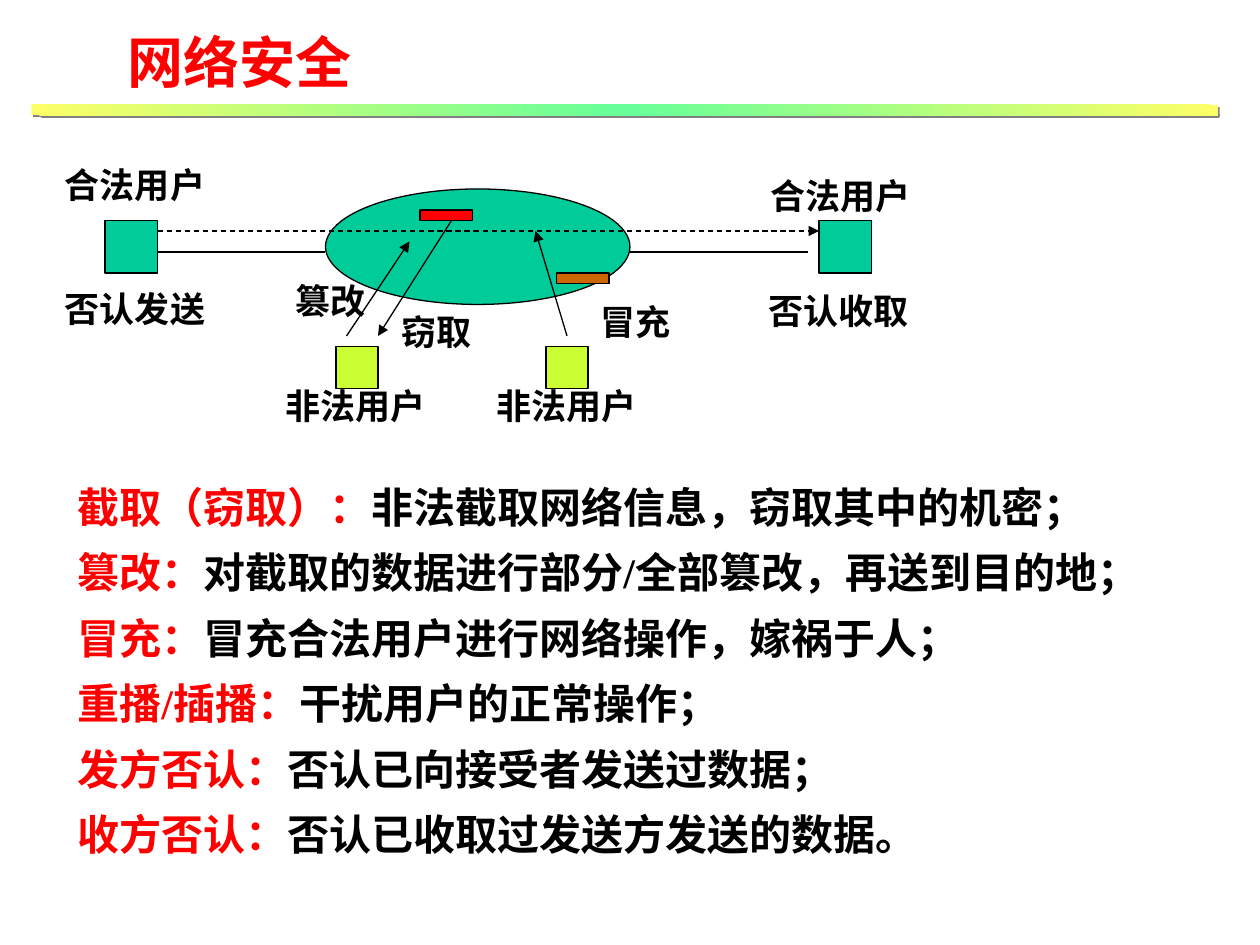
"""Build the network security slide: threat diagram above a list of attack types."""
from typing import NamedTuple

import lxml.etree
import pptx
import pptx.dml.color
import pptx.enum.dml
import pptx.enum.shapes
import pptx.enum.text
import pptx.oxml
import pptx.oxml.ns
import pptx.util

RGBColor = pptx.dml.color.RGBColor
Shape = pptx.enum.shapes.MSO_SHAPE

PX = pptx.util.Inches(1) // 120
BLACK = RGBColor(0x00, 0x00, 0x00)
RED = RGBColor(0xFF, 0x00, 0x00)
GREEN = RGBColor(0x00, 0xCC, 0x99)
LIME = RGBColor(0xCC, 0xFF, 0x33)
BROWN = RGBColor(0xCC, 0x66, 0x00)
YELLOW = RGBColor(0xFF, 0xFF, 0x66)
MINT = RGBColor(0x66, 0xFF, 0x99)
GREY = RGBColor(0x80, 0x80, 0x80)
CHINESE_FONT = "Noto Sans CJK SC"
LATIN_FONT = "Times New Roman"


class Node(NamedTuple):
    left: int
    top: int
    width: int
    height: int
    fill: RGBColor
    kind: Shape = Shape.RECTANGLE


class Link(NamedTuple):
    start: tuple[int, int]
    end: tuple[int, int]
    arrow: bool = True
    dashed: bool = False


class Label(NamedTuple):
    text: str
    left: int
    top: int


class Threat(NamedTuple):
    name: str
    meaning: str


NODES = [
    Node(100, 210, 50, 50, GREEN),
    Node(310, 180, 290, 110, GREEN, Shape.OVAL),
    Node(780, 210, 50, 50, GREEN),
    Node(400, 200, 50, 10, RED),
    Node(530, 260, 50, 10, BROWN),
    Node(320, 330, 40, 40, LIME),
    Node(520, 330, 40, 40, LIME),
]
LINKS = [
    Link((150, 220), (780, 220), dashed=True),
    Link((150, 240), (310, 240), arrow=False),
    Link((600, 240), (770, 240), arrow=False),
    Link((430, 210), (360, 320)),
    Link((330, 320), (390, 230)),
    Link((540, 320), (510, 220)),
]
LABELS = [
    Label("窃取", 371, 290),
    Label("篡改", 270, 260),
    Label("否认收取", 720, 270),
    Label("否认发送", 50, 268),
    Label("冒充", 560, 280),
    Label("合法用户", 50, 150),
    Label("合法用户", 722, 160),
    Label("非法用户", 260, 360),
    Label("非法用户", 461, 360),
]
THREATS = [
    Threat("截取（窃取）：", "非法截取网络信息，窃取其中的机密；"),
    Threat("篡改：", "对截取的数据进行部分/全部篡改，再送到目的地；"),
    Threat("冒充：", "冒充合法用户进行网络操作，嫁祸于人；"),
    Threat("重播/插播：", "干扰用户的正常操作；"),
    Threat("发方否认：", "否认已向接受者发送过数据；"),
    Threat("收方否认：", "否认已收取过发送方发送的数据。"),
]


def add_node(shapes, node: Node) -> None:
    """Draw one filled and outlined shape."""
    shape = shapes.add_shape(node.kind, *(length * PX for length in node[:4]))
    shape.shadow.inherit = False
    shape.fill.solid()
    shape.fill.fore_color.rgb = node.fill
    shape.line.color.rgb = BLACK
    shape.line.width = pptx.util.Pt(0.75)


def add_link(shapes, link: Link) -> None:
    """Draw one straight line, dashed or arrowed as asked."""
    ends = (length * PX for length in link.start + link.end)
    connector = shapes.add_connector(pptx.enum.shapes.MSO_CONNECTOR.STRAIGHT, *ends)
    connector.line.color.rgb = BLACK
    connector.line.width = pptx.util.Pt(0.75)
    if link.dashed:
        connector.line.dash_style = pptx.enum.dml.MSO_LINE.DASH
    if link.arrow:
        tail = lxml.etree.SubElement(connector.line._get_or_add_ln(), pptx.oxml.ns.qn("a:tailEnd"))
        tail.set("type", "triangle")
    lxml.etree.SubElement(connector._element.spPr, pptx.oxml.ns.qn("a:effectLst"))


def add_text_box(shapes, left: int, top: int, width: int, height: int, wrap: bool = False):
    """Add an empty text box that grows with its text and return its frame."""
    box = shapes.add_textbox(left * PX, top * PX, width * PX, height * PX)
    frame = box.text_frame
    frame.word_wrap = wrap
    frame.auto_size = pptx.enum.text.MSO_AUTO_SIZE.SHAPE_TO_FIT_TEXT
    return frame


def add_span(para, text: str, size: int, color: RGBColor, font: str = LATIN_FONT) -> None:
    """Append one bold run with its Latin and East Asian fonts."""
    span = para.add_run()
    span.text = text
    span.font.size = pptx.util.Pt(size)
    span.font.bold = True
    span.font.color.rgb = color
    span.font.name = font
    east_asian = lxml.etree.SubElement(span.font._element, pptx.oxml.ns.qn("a:ea"))
    east_asian.set("typeface", CHINESE_FONT)


def add_label(shapes, label: Label) -> None:
    """Add one diagram caption with room for all its characters on one line."""
    width = 24 + 34 * len(label.text)
    frame = add_text_box(shapes, label.left, label.top, width, 53)
    add_span(frame.paragraphs[0], label.text, 20, BLACK)


def add_threats(shapes, threats: list[Threat]) -> None:
    """List each threat with a red name and a black meaning."""
    frame = add_text_box(shapes, 62, 438, 1054, 386)
    for index, threat in enumerate(threats):
        para = frame.add_paragraph() if index else frame.paragraphs[0]
        para.line_spacing = 1.3
        add_span(para, threat.name, 24, RED)
        add_span(para, threat.meaning, 24, BLACK)


def add_title_bar(shapes) -> None:
    """Draw the gradient bar with its hard shadow."""
    bar = shapes.add_shape(Shape.RECTANGLE, 30 * PX, 100 * PX, 1130 * PX, 10 * PX)
    bar.line.fill.background()
    bar.fill.background()
    stops = "".join(
        f'<a:gs pos="{percent * 1000}"><a:srgbClr val="{color}"/></a:gs>'
        for percent, color in ((0, YELLOW), (50, MINT), (100, YELLOW))
    )
    namespace = pptx.oxml.ns.nsdecls("a")
    gradient = pptx.oxml.parse_xml(
        f'<a:gradFill {namespace} rotWithShape="1"><a:gsLst>{stops}</a:gsLst>'
        '<a:lin ang="8100000" scaled="1"/></a:gradFill>'
    )
    shadow = pptx.oxml.parse_xml(
        f'<a:effectLst {namespace}><a:outerShdw dist="17780" dir="2700000" algn="ctr">'
        f'<a:srgbClr val="{GREY}"/></a:outerShdw></a:effectLst>'
    )
    properties = bar._element.spPr
    properties.replace(properties.find(pptx.oxml.ns.qn("a:noFill")), gradient)
    properties.append(shadow)


def main() -> None:
    """Assemble and save the slide."""
    deck = pptx.Presentation()
    deck.slide_width = 1200 * PX
    deck.slide_height = 900 * PX
    page = deck.slides.add_slide(deck.slide_layouts[6])
    title = add_text_box(page.shapes, 110, 20, 440, 77, wrap=True)
    add_span(title.paragraphs[0], "网络安全", 32, RED, CHINESE_FONT)
    diagram = page.shapes.add_group_shape().shapes
    for node in NODES:
        add_node(diagram, node)
    for link in LINKS:
        add_link(diagram, link)
    for label in LABELS:
        add_label(diagram, label)
    add_threats(page.shapes, THREATS)
    add_title_bar(page.shapes)
    deck.save("out.pptx")


if __name__ == "__main__":
    main()
